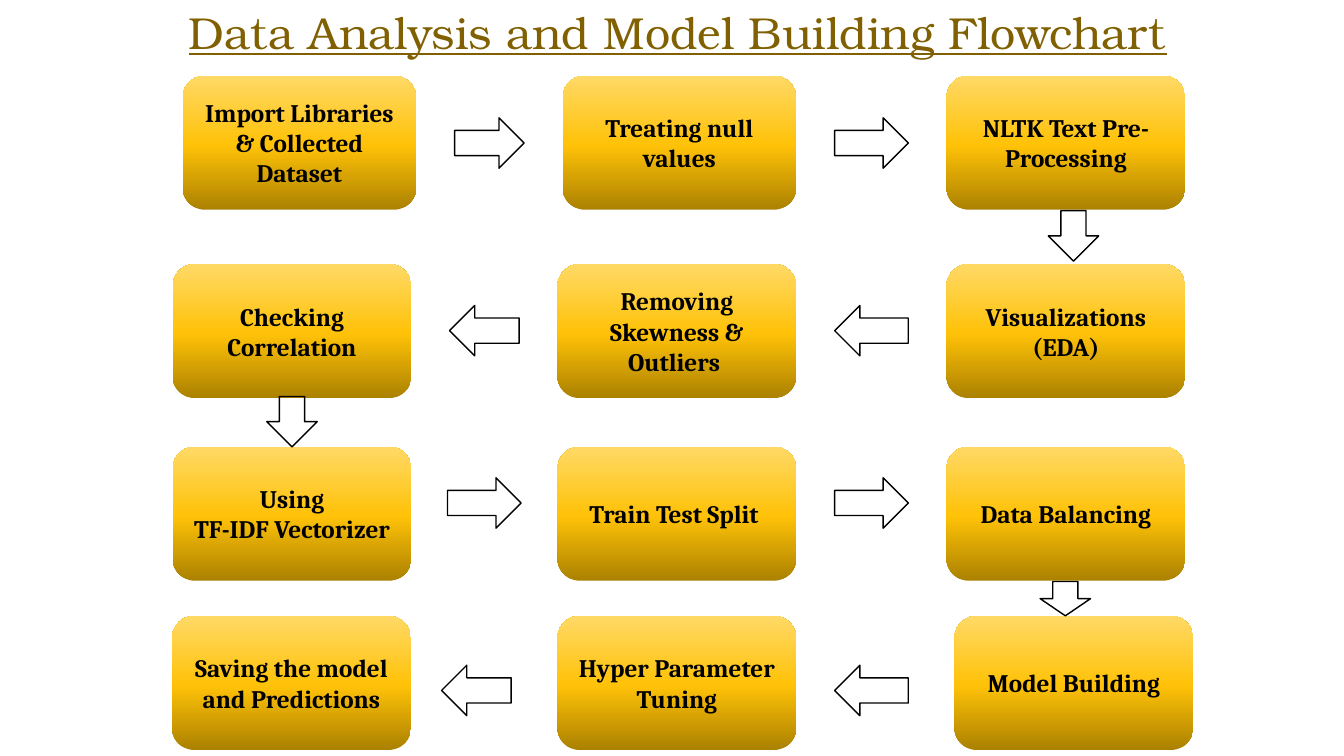
from copy import deepcopy
from dataclasses import dataclass

from pptx import Presentation
from pptx.dml.color import RGBColor
from pptx.enum import shapes, text
from pptx.oxml import ns
from pptx.util import Pt

STEP_HEIGHT = 95.8
STEP_WIDTH = 170.6
ARROW_HEIGHT = 36
ARROW_WIDTH = 52.6
SHORT_ARROW = 49.7
SECOND_ARROW_LEFT = 596.2
MIDDLE, RIGHT = 398.2, 676.1
GOLD_STOPS = [(0, "AB8100"), (0.48, "FFC208"), (1, "FFD966")]


@dataclass
class Step:
    label: str
    left: float
    width: float = STEP_WIDTH


@dataclass
class Arrow:
    kind: shapes.MSO_SHAPE
    left: float
    top: float
    width: float = ARROW_WIDTH
    height: float = ARROW_HEIGHT


@dataclass
class Row:
    top: float
    arrow_top: float
    arrow_kind: shapes.MSO_SHAPE
    first_arrow_left: float
    first_arrow_width: float
    steps: list[Step]


POINT_RIGHT = shapes.MSO_SHAPE.RIGHT_ARROW
POINT_LEFT = shapes.MSO_SHAPE.LEFT_ARROW
POINT_DOWN = shapes.MSO_SHAPE.DOWN_ARROW

ROWS = [
    Row(54, 84.2, POINT_RIGHT, 324.7, SHORT_ARROW, [
        Step("Import Libraries & Collected Dataset", 130.4, 167),
        Step("Treating null values", 401.8, 167),
        Step("NLTK Text Pre-Processing", RIGHT),
    ]),
    Row(188.6, 218.2, POINT_LEFT, 321.1, SHORT_ARROW, [
        Step("Checking Correlation", 123.3),
        Step("Removing Skewness & Outliers ", MIDDLE),
        Step("Visualizations\n(EDA)", RIGHT),
    ]),
    Row(319, 341.3, POINT_RIGHT, 319.7, ARROW_WIDTH, [
        Step("Using\nTF-IDF Vectorizer", 123.3),
        Step("Train Test Split ", MIDDLE),
        Step("Data Balancing", RIGHT),
    ]),
    Row(439.9, 475.2, POINT_LEFT, 315.4, SHORT_ARROW, [
        Step("Saving the model and Predictions", 122.9),
        Step("Hyper Parameter Tuning", MIDDLE),
        Step("Model Building", 681.8),
    ]),
]

DOWN_ARROWS = [
    Arrow(POINT_DOWN, 748.8, 150.5, 36),
    Arrow(POINT_DOWN, 190.6, 283.2, 36),
    Arrow(POINT_DOWN, 743, 415.4, 36, 24.5),
]


def color(value: str) -> RGBColor:
    return RGBColor.from_string(value)


def write(frame, content: str, *, font: str, size: float, fill: str,
          bold: bool = False, underline: bool = False) -> None:
    frame.word_wrap = True
    for index, line in enumerate(content.split("\n")):
        paragraph = frame.add_paragraph() if index else frame.paragraphs[0]
        paragraph.alignment = text.PP_ALIGN.CENTER
        run = paragraph.add_run()
        run.text = line
        run.font.name = font
        run.font.size = Pt(size)
        run.font.bold = bold
        run.font.underline = underline
        run.font.color.rgb = color(fill)


def add_preset(slide, kind, left: float, top: float, width: float, height: float):
    shape = slide.shapes.add_shape(kind, Pt(left), Pt(top), Pt(width), Pt(height))
    shape.shadow.inherit = False
    return shape


def fill_gold(shape) -> None:
    shape.fill.gradient()
    shape.fill.gradient_angle = 90
    stop_list = shape.element.spPr.find(ns.qn("a:gradFill")).find(ns.qn("a:gsLst"))
    stop_list.append(deepcopy(stop_list[-1]))
    for stop, (position, value) in zip(shape.fill.gradient_stops, GOLD_STOPS):
        stop.position = position
        stop.color.rgb = color(value)


def add_step(slide, step: Step, top: float) -> None:
    shape = add_preset(slide, shapes.MSO_SHAPE.FLOWCHART_ALTERNATE_PROCESS,
                       step.left, top, step.width, STEP_HEIGHT)
    fill_gold(shape)
    shape.line.fill.background()
    shape.text_frame.vertical_anchor = text.MSO_ANCHOR.MIDDLE
    write(shape.text_frame, step.label, font="Cambria", size=18,
          fill="000000", bold=True)


def add_arrow(slide, arrow: Arrow) -> None:
    shape = add_preset(slide, arrow.kind, arrow.left, arrow.top,
                       arrow.width, arrow.height)
    shape.fill.background()
    shape.line.color.rgb = color("000000")
    shape.line.width = Pt(1)


def add_title(slide) -> None:
    box = slide.shapes.add_textbox(Pt(42.5), Pt(0), Pt(883.4), Pt(67.7))
    box.text_frame.auto_size = text.MSO_AUTO_SIZE.SHAPE_TO_FIT_TEXT
    write(box.text_frame, "Data Analysis and Model Building Flowchart",
          font="TeX Gyre Bonum", size=32, fill="806000", underline=True)


def main() -> None:
    presentation = Presentation()
    presentation.slide_width = Pt(960)
    presentation.slide_height = Pt(540)
    slide = presentation.slides.add_slide(presentation.slide_layouts[6])
    add_title(slide)
    for row in ROWS:
        for step in row.steps:
            add_step(slide, step, row.top)
        add_arrow(slide, Arrow(row.arrow_kind, row.first_arrow_left,
                               row.arrow_top, row.first_arrow_width))
        add_arrow(slide, Arrow(row.arrow_kind, SECOND_ARROW_LEFT, row.arrow_top))
    for arrow in DOWN_ARROWS:
        add_arrow(slide, arrow)
    presentation.save("out.pptx")


if __name__ == "__main__":
    main()
